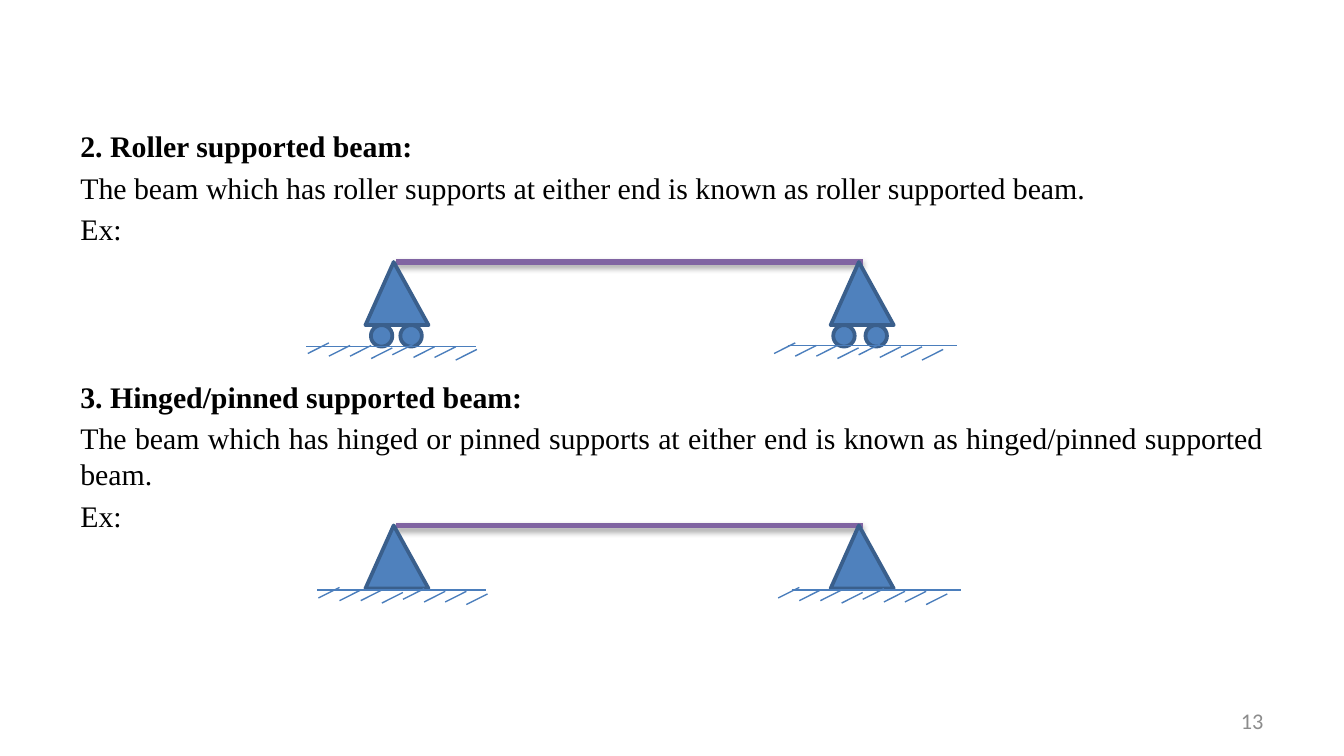
from lxml import etree
from pptx import Presentation
from pptx import util as u
from pptx.dml import color
from pptx.enum import shapes, text
from pptx.oxml import ns

BLUE, EDGE, GROUND, PURPLE = "4F81BD", "3A5F8C", "4B7EBC", "8064A2"
SIZE = 16
LINE_HEIGHT = 1.2 * SIZE
PARA_GAP = 0.2 * SIZE
FIGURE_GAP = 3 * (LINE_HEIGHT + PARA_GAP) + PARA_GAP
HATCH_STEP, HATCH_RISE = 11.32, 5.7
HATCH_DROPS = (0, 1.4, 1.4, 2.7, 0.7, 2.1, 2.1, 3.5)

SECTIONS = (
    ("2. Roller supported beam:",
     "The beam which has roller supports at either end is known as roller supported beam.",
     "Ex:"),
    ("3. Hinged/pinned supported beam:",
     "The beam which has hinged or pinned supports at either end is known as "
     "hinged/pinned supported beam.",
     "Ex:"),
)


def rgb(value):
    return color.RGBColor.from_string(value)


def add_box(page, left, top, width, height):
    frame = page.shapes.add_textbox(u.Pt(left), u.Pt(top), u.Pt(width), u.Pt(height)).text_frame
    frame.word_wrap = True
    return frame


def add_span(para, words, size, font, ink, bold=False):
    span = para.add_run()
    span.text = words
    span.font.size = u.Pt(size)
    span.font.name = font
    span.font.bold = bold
    span.font.color.rgb = rgb(ink)


def add_line(page, x1, y1, x2, y2, ink, weight, shadow=False):
    line = page.shapes.add_connector(shapes.MSO_CONNECTOR.STRAIGHT,
                                     u.Pt(x1), u.Pt(y1), u.Pt(x2), u.Pt(y2))
    line.line.color.rgb = rgb(ink)
    line.line.width = u.Pt(weight)
    effects = etree.SubElement(line._element.spPr, ns.qn("a:effectLst"))
    if shadow:
        outer = etree.SubElement(effects, ns.qn("a:outerShdw"), blurRad=str(u.Pt(3.1)),
                                 dist=str(u.Pt(1.8)), dir="5400000", rotWithShape="0")
        shade = etree.SubElement(outer, ns.qn("a:srgbClr"), val="000000")
        etree.SubElement(shade, ns.qn("a:alpha"), val="35000")


def add_solid(page, kind, left, top, size):
    solid = page.shapes.add_shape(kind, u.Pt(left), u.Pt(top), u.Pt(size), u.Pt(size))
    solid.shadow.inherit = False
    solid.fill.solid()
    solid.fill.fore_color.rgb = rgb(BLUE)
    solid.line.color.rgb = rgb(EDGE)
    solid.line.width = u.Pt(2)
    return solid


def add_body(page, left, top, width, height):
    frame = add_box(page, left, top, width, height)
    for section_no, section in enumerate(SECTIONS):
        for line_no, words in enumerate(section):
            is_heading = line_no == 0
            is_first = is_heading and section_no == 0
            para = frame.paragraphs[0] if is_first else frame.add_paragraph()
            para.alignment = text.PP_ALIGN.JUSTIFY
            para.line_spacing = u.Pt(LINE_HEIGHT)
            if not is_first:
                para.space_before = u.Pt(FIGURE_GAP if is_heading else PARA_GAP)
            add_span(para, words, SIZE, "Times New Roman", "000000", is_heading)


def add_ground(page, line_left, line_top, hatch_left, hatch_bottom):
    add_line(page, line_left, line_top, line_left + 90.7, line_top, GROUND, 0.75)
    for index, drop in enumerate(HATCH_DROPS):
        x = hatch_left + index * HATCH_STEP
        y = hatch_bottom + drop
        add_line(page, x, y, x + HATCH_STEP, y - HATCH_RISE, GROUND, 0.75)


def add_beam_figure(page, left, top, grounds, wheels=((), ())):
    """Draw a beam on two supports; grounds and wheels are offsets from the figure's corner."""
    size = 33.8
    add_line(page, left + 16.6, top, left + 266.4, top, PURPLE, 3, shadow=True)
    for support_left in (0, 249.2):
        support = add_solid(page, shapes.MSO_SHAPE.ISOSCELES_TRIANGLE,
                            left + support_left, top, size)
        support.adjustments[0] = 0.448
    for pair in wheels:
        for wheel_left in pair:
            add_solid(page, shapes.MSO_SHAPE.OVAL, left + wheel_left, top + size, 11.5)
    for line_x, line_y, hatch_x, hatch_y in grounds:
        add_ground(page, left + line_x, top + line_y, left + hatch_x, top + hatch_y)


def add_page_number(page, left, top, width, height):
    frame = add_box(page, left, top, width, height)
    frame.vertical_anchor = text.MSO_ANCHOR.MIDDLE
    para = frame.paragraphs[0]
    para.alignment = text.PP_ALIGN.RIGHT
    add_span(para, "13", 12, "Calibri", "8C8C8C")


def main():
    deck = Presentation()
    deck.slide_width, deck.slide_height = u.Pt(720), u.Pt(405)
    page = deck.slides.add_slide(deck.slide_layouts[6])
    add_body(page, 36, 64.8, 648, 324)
    add_page_number(page, 516.2, 375.1, 167.8, 21.6)
    add_beam_figure(page, 195.8, 140.4,
                    grounds=((-31.7, 45.4, -30.9, 49), (226.1, 44.6, 218.9, 49)),
                    wheels=((2.9, 18.7), (250.6, 267.9)))
    add_beam_figure(page, 195.8, 281.5,
                    grounds=((-25.9, 34.6, -25.2, 38.9), (228.3, 34.6, 221.1, 38.9)))
    deck.save("out.pptx")


if __name__ == "__main__":
    main()
